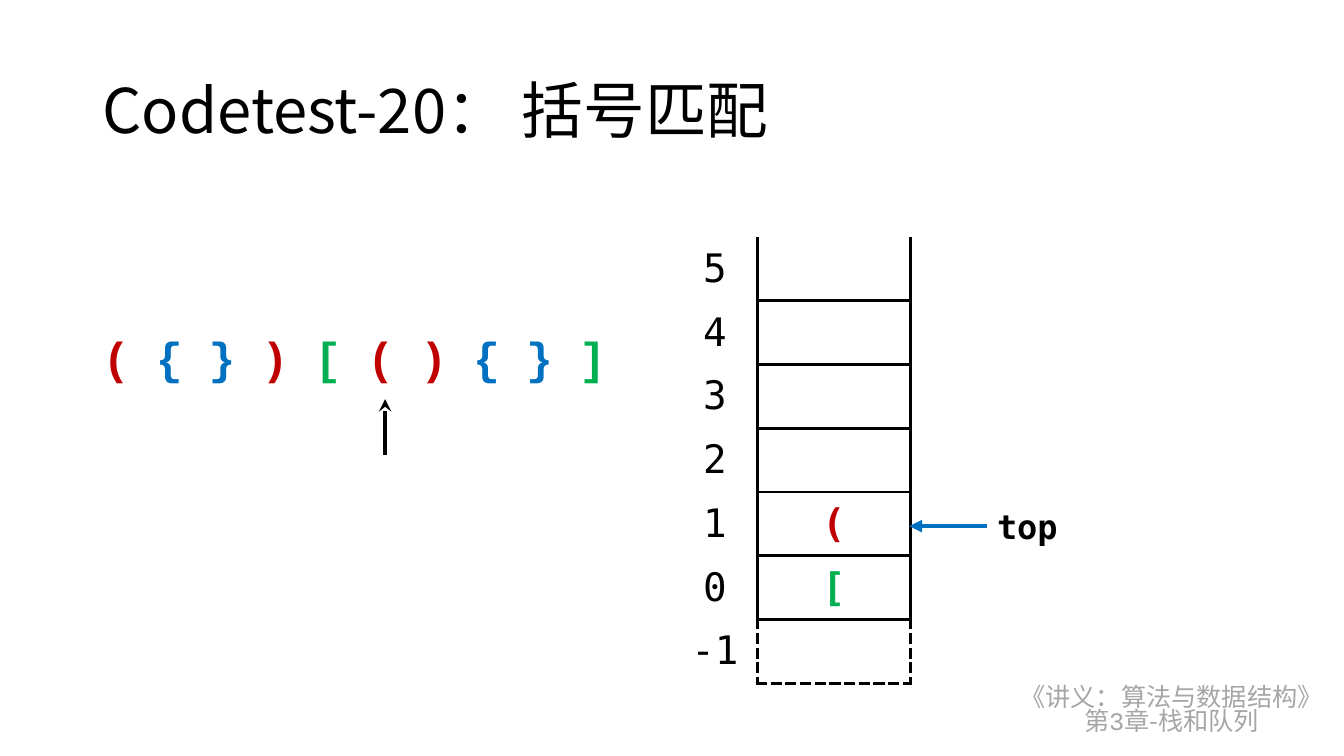
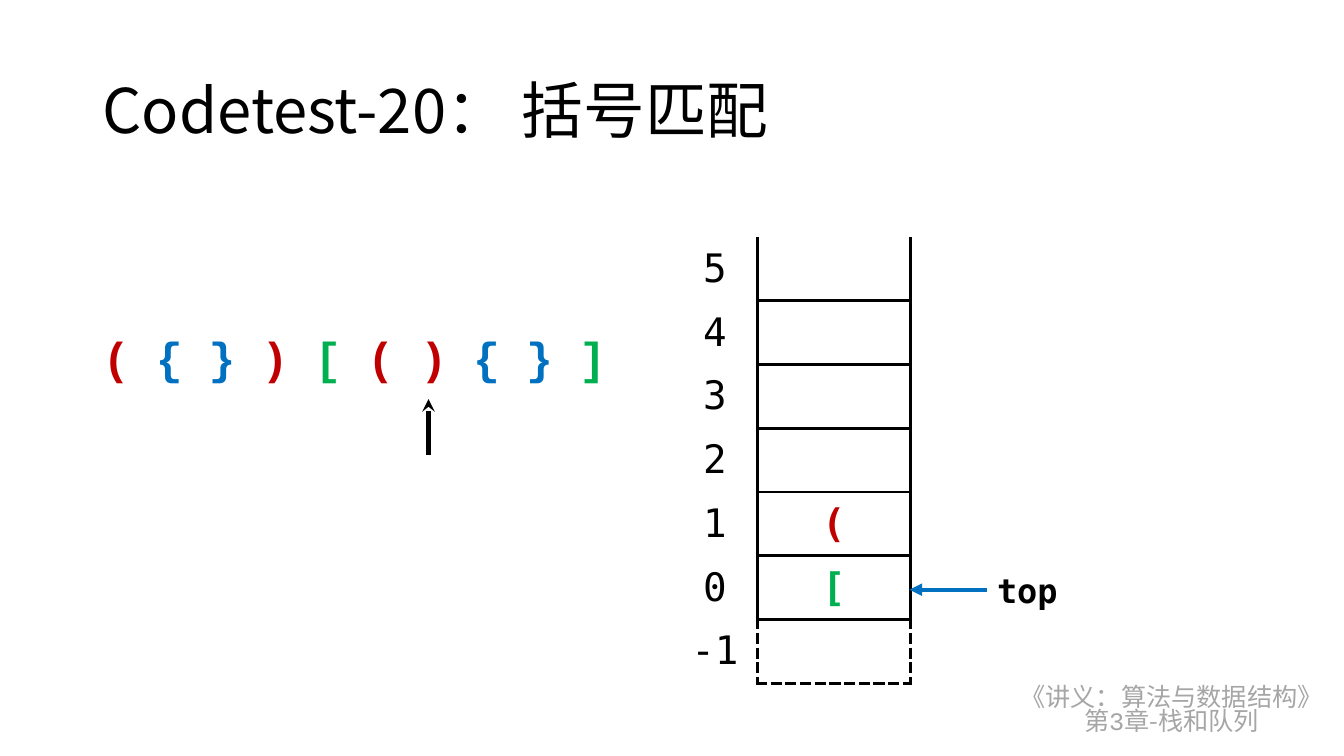
from dataclasses import dataclass
from typing import NamedTuple

from lxml import etree
from pptx import Presentation
from pptx.dml.color import RGBColor
from pptx.enum.shapes import MSO_CONNECTOR
from pptx.enum.text import MSO_ANCHOR, MSO_AUTO_SIZE, PP_ALIGN
from pptx.oxml.ns import qn
from pptx.util import Emu, Pt

STRAIGHT = MSO_CONNECTOR.STRAIGHT
LEFT, CENTER = PP_ALIGN.LEFT, PP_ALIGN.CENTER
TOP, MIDDLE = MSO_ANCHOR.TOP, MSO_ANCHOR.MIDDLE
GROW = MSO_AUTO_SIZE.SHAPE_TO_FIT_TEXT
LEFT_SIDE = 1
EMU_PER_PX = 9144


@dataclass(frozen=True)
class Theme:
    ink: str = "000000"
    paper: str = "FFFFFF"
    muted: str = "A6A6A6"
    red: str = "C00000"
    blue: str = "0070C0"
    green: str = "00B050"
    sans: str = "Noto Sans CJK SC"
    mono: str = "DejaVu Sans Mono"
    code: str = "Courier New"
    title_size: int = 44
    bracket_size: int = 32
    stack_size: int = 28
    top_size: int = 24
    footer_size: int = 18
    arrow_width: float = 3
    stack_border: float = 2.25
    row_border: float = 1


class Box(NamedTuple):
    x: int
    y: int
    w: int
    h: int


THEME = Theme()
BRACKET_COLORS = {
    **dict.fromkeys("()", THEME.red),
    **dict.fromkeys("{}", THEME.blue),
    **dict.fromkeys("[]", THEME.green),
}
TITLE = "Codetest-20： 括号匹配"
BRACKETS = "({})[(){}]"
FOOTER = (
    (("《讲义：算法与数据结构》", THEME.sans),),
    (("第", THEME.sans), ("3", THEME.code), ("章-栈和队列", THEME.sans)),
)
STACK_LABELS = ("5", "4", "3", "2", "1", "0", "-1")
STACK_ITEMS = {"1": "(", "0": "["}
TITLE_BOX = Box(92, 40, 1150, 145)
FOOTER_BOX = Box(997, 676, 330, 71)
BRACKETS_BOX = Box(92, 322, 525, 75)
STACK_BOX = Box(667, 235, 236, 443)
STEPS = (
    {"pointer_offset": 290, "top_label": "1"},
    {"pointer_offset": 333, "top_label": "0"},
)


def px(length):
    return Emu(round(length * EMU_PER_PX))


def write(frame, text, *, font, size, color, bold=False, align=LEFT, spacing=None):
    lines = (((text, font),),) if isinstance(text, str) else text
    for index, runs in enumerate(lines):
        paragraph = frame.add_paragraph() if index else frame.paragraphs[0]
        paragraph.alignment = align
        if spacing:
            paragraph.line_spacing = spacing
        for words, face in runs:
            run = paragraph.add_run()
            run.text = words
            run.font.size = Pt(size)
            run.font.bold = bold
            run.font.color.rgb = RGBColor.from_string(color)
            run.font.name = face
            east_asian = etree.SubElement(run._r.get_or_add_rPr(), qn("a:ea"))
            east_asian.set("typeface", face)


def add_text(slide, box, text, *, anchor=TOP, grow=False, **style):
    holder = slide.shapes.add_textbox(*map(px, box))
    frame = holder.text_frame
    frame.word_wrap = not grow
    frame.vertical_anchor = anchor
    if grow:
        frame.auto_size = GROW
    write(frame, text, **style)
    return holder


def add_arrow(slide, start, end, color, head):
    arrow = slide.shapes.add_connector(STRAIGHT, *map(px, (*start, *end)))
    arrow.line.color.rgb = RGBColor.from_string(color)
    arrow.line.width = Pt(THEME.arrow_width)
    etree.SubElement(arrow.line._ln, qn("a:tailEnd")).set("type", head)
    etree.SubElement(arrow._element.spPr, qn("a:effectLst"))
    return arrow


def add_grid(slide, box, rows, widths):
    grid = slide.shapes.add_table(rows, len(widths), *map(px, box)).table
    grid.first_row = False
    grid.horz_banding = False
    for column, width in zip(grid.columns, widths):
        column.width = px(width)
    for row in grid.rows:
        row.height = px(box.h / rows)
    return grid


def style_cell(cell, *, edges, color, width, dashed=""):
    cell.vertical_anchor = MIDDLE
    properties = cell._tc.get_or_add_tcPr()
    for side in "LRTB":
        edge = etree.SubElement(properties, qn(f"a:ln{side}"))
        if side not in edges:
            etree.SubElement(edge, qn("a:noFill"))
            continue
        edge.set("w", str(Pt(width)))
        fill = etree.SubElement(edge, qn("a:solidFill"))
        etree.SubElement(fill, qn("a:srgbClr")).set("val", color)
        dash = etree.SubElement(edge, qn("a:prstDash"))
        dash.set("val", "sysDash" if side in dashed else "solid")
    cell.fill.background()


def draw_title(slide, box):
    add_text(slide, box, TITLE, anchor=MIDDLE, font=THEME.sans,
             size=THEME.title_size, color=THEME.ink, spacing=0.9)


def draw_footer(slide, box):
    add_text(slide, box, FOOTER, grow=True, font=THEME.sans,
             size=THEME.footer_size, color=THEME.muted, align=CENTER, spacing=0.82)


def draw_brackets(slide, box, pointer_offset):
    count = len(BRACKETS)
    row = add_grid(slide, box, 1, [box.w / count] * count)
    for index, bracket in enumerate(BRACKETS):
        cell = row.cell(0, index)
        style_cell(cell, edges="LRTB", color=THEME.paper, width=THEME.row_border)
        write(cell.text_frame, bracket, font=THEME.code, size=THEME.bracket_size,
              color=BRACKET_COLORS[bracket], bold=True)
    pointer_x = box.x + pointer_offset
    bottom = box.y + box.h
    add_arrow(slide, (pointer_x, bottom + 54), (pointer_x, bottom - 1),
              THEME.ink, "stealth")


def draw_stack(slide, box, top_label):
    label_width = 84
    count = len(STACK_LABELS)
    stack = add_grid(slide, box, count, (label_width, box.w - label_width))
    border = {"color": THEME.ink, "width": THEME.stack_border}
    text = {"font": THEME.mono, "size": THEME.stack_size, "align": CENTER}
    for index, label in enumerate(STACK_LABELS):
        dashed = "LRB" if index == count - 1 else ""
        label_cell, slot = stack.cell(index, 0), stack.cell(index, 1)
        style_cell(label_cell, edges="R", dashed=dashed, **border)
        style_cell(slot, edges="LRTB" if index else "LRB", dashed=dashed, **border)
        write(label_cell.text_frame, label, color=THEME.ink, **text)
        if label in STACK_ITEMS:
            item = STACK_ITEMS[label]
            write(slot.text_frame, item, color=BRACKET_COLORS[item], bold=True, **text)
    draw_top(slide, box, STACK_LABELS.index(top_label))


def draw_top(slide, box, row):
    center = box.y + round(box.h * (row + 0.5) / len(STACK_LABELS)) + 2
    right = box.x + box.w
    label_box = Box(right + 76, center - 25, 81, 50)
    label = add_text(slide, label_box, "top", grow=True, font=THEME.mono,
                     size=THEME.top_size, color=THEME.ink, bold=True)
    arrow = add_arrow(slide, (label_box.x, center), (right - 1, center),
                      THEME.blue, "triangle")
    arrow.begin_connect(label, LEFT_SIDE)


def draw_step(slide, pointer_offset, top_label):
    draw_footer(slide, FOOTER_BOX)
    draw_title(slide, TITLE_BOX)
    draw_stack(slide, STACK_BOX, top_label)
    draw_brackets(slide, BRACKETS_BOX, pointer_offset)


def main():
    deck = Presentation()
    deck.slide_width, deck.slide_height = px(1333), px(750)
    blank = deck.slide_layouts[6]
    for step in STEPS:
        draw_step(deck.slides.add_slide(blank), **step)
    deck.save("out.pptx")


if __name__ == "__main__":
    main()
